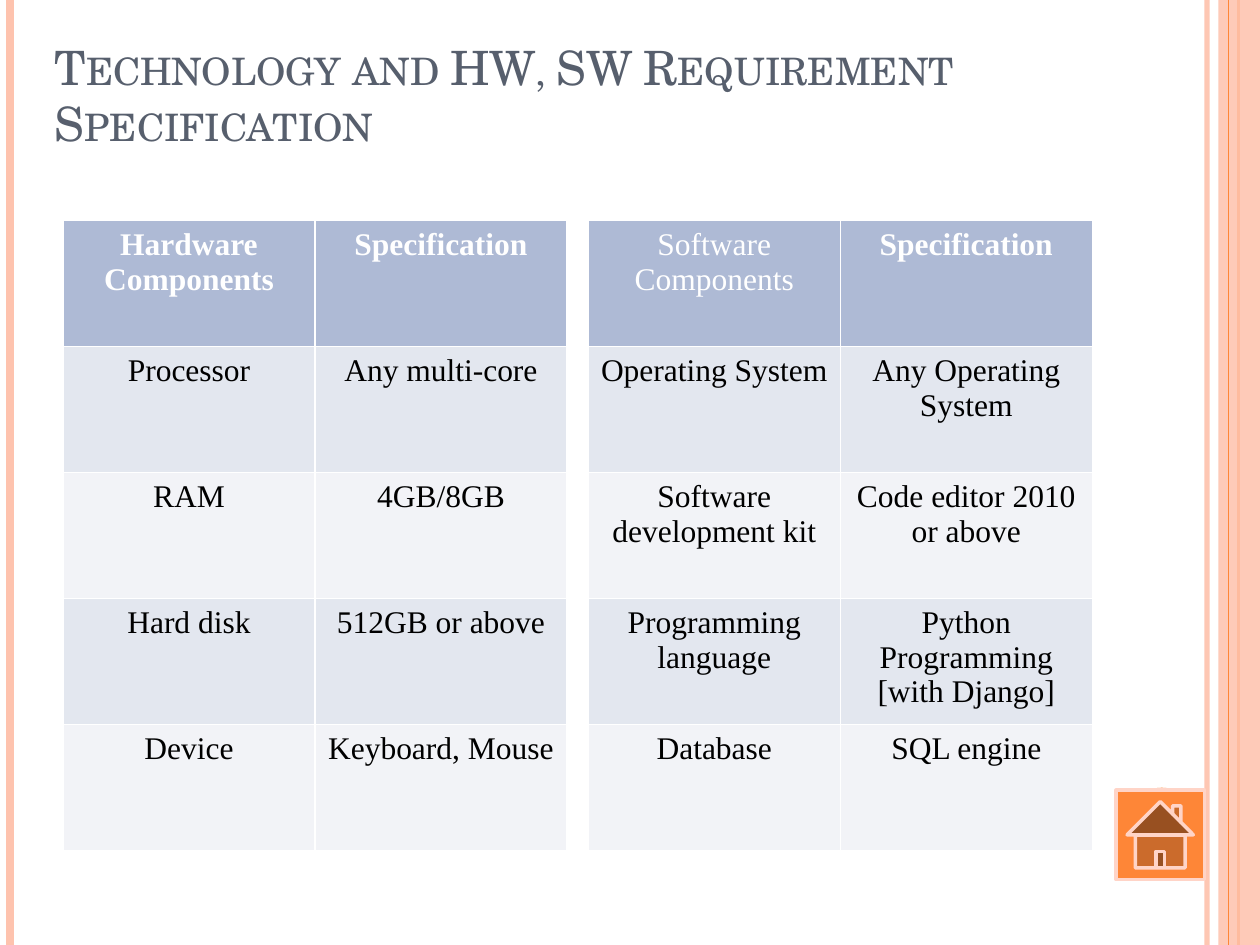
from dataclasses import dataclass

from lxml import etree
from pptx import Presentation
from pptx import util as u
from pptx.dml.color import RGBColor
from pptx.enum import shapes, text
from pptx.oxml.ns import qn


@dataclass(frozen=True)
class Theme:
    title_font: str = "TeX Gyre Schola"
    table_font: str = "Times New Roman"
    title_size: float = 27
    table_size: float = 18
    title: str = "575F6D"
    body: str = "000000"
    white: str = "FFFFFF"
    orange: str = "FE8637"
    peach: str = "FEC3AE"
    button_edge: str = "FFD4C7"
    header: str = "AEBAD5"
    bands: tuple = ("E3E7EF", "F2F3F7")


THEME = Theme()
TITLE = "Technology and HW, SW Requirement Specification"
TABLES = [
    {
        "left": 1.27,
        "bold_headings": (True, True),
        "rows": [
            ("Hardware Components", "Specification"),
            ("Processor", "Any multi-core"),
            ("RAM", "4GB/8GB"),
            ("Hard disk", "512GB or above"),
            ("Device", "Keyboard, Mouse"),
        ],
    },
    {
        "left": 11.86,
        "bold_headings": (False, True),
        "rows": [
            ("Software Components", "Specification"),
            ("Operating System", "Any Operating System"),
            ("Software development kit", "Code editor 2010 or above"),
            ("Programming language", "Python Programming [with Django]"),
            ("Database", "SQL engine"),
        ],
    },
]
TABLE_TOP = 4.45
COLUMN_WIDTH, ROW_HEIGHT = 5.08, 2.54
PAGE_WIDTH, PAGE_HEIGHT = 25.4, 19.05
RULES_BEHIND = [(24.33, THEME.peach, 3, 93), (0.2, THEME.peach, 4.5, 100),
                (24.97, THEME.orange, 1.5, 100)]
RULES_FRONT = [(24.77, THEME.orange, 0.75, 100)]


def color(value):
    return RGBColor.from_string(value)


def set_alpha(element, percent):
    if percent < 100:
        tint = next(element.iter(qn("a:srgbClr")))
        etree.SubElement(tint, qn("a:alpha")).set("val", str(percent * 1000))


def add_rule(page, x, tint, width, opacity):
    rule = page.shapes.add_connector(
        shapes.MSO_CONNECTOR.STRAIGHT, u.Cm(x), u.Cm(0), u.Cm(x), u.Cm(PAGE_HEIGHT))
    rule.line.color.rgb = color(tint)
    rule.line.width = u.Pt(width)
    properties = rule._element.spPr
    set_alpha(properties, opacity)
    etree.SubElement(properties, qn("a:effectLst"))


def add_block(page, kind, bounds, tint, edge=None, opacity=100):
    block = page.shapes.add_shape(kind, *map(u.Cm, bounds))
    block.shadow.inherit = False
    block.fill.solid()
    block.fill.fore_color.rgb = color(tint)
    set_alpha(block._element.spPr, opacity)
    if edge:
        block.line.color.rgb = color(edge)
        block.line.width = u.Pt(2)
    else:
        block.line.fill.background()


def format_span(span, font, size, tint, bold=False):
    span.font.name = font
    span.font.size = u.Pt(size)
    span.font.color.rgb = color(tint)
    span.font.bold = bold


def set_borders(cell):
    properties = cell._tc.get_or_add_tcPr()
    for side in "LRTB":
        line = etree.SubElement(properties, qn(f"a:ln{side}"), w=str(u.Pt(1)))
        fill = etree.SubElement(line, qn("a:solidFill"))
        etree.SubElement(fill, qn("a:srgbClr"), val=THEME.white)


def format_cell(cell, words, is_header, bold, tint):
    set_borders(cell)
    cell.fill.solid()
    cell.fill.fore_color.rgb = color(tint)
    cell.text_frame.text = words
    para = cell.text_frame.paragraphs[0]
    para.alignment = text.PP_ALIGN.CENTER
    format_span(para.runs[0], THEME.table_font, THEME.table_size,
                THEME.white if is_header else THEME.body, bold)


def add_requirements(page, content):
    rows = content["rows"]
    columns = len(rows[0])
    frame = page.shapes.add_table(
        len(rows), columns, u.Cm(content["left"]), u.Cm(TABLE_TOP),
        u.Cm(columns * COLUMN_WIDTH), u.Cm(len(rows) * ROW_HEIGHT))
    for row_index, row in enumerate(rows):
        is_header = row_index == 0
        tint = THEME.header if is_header else THEME.bands[(row_index - 1) % 2]
        for column_index, words in enumerate(row):
            bold = is_header and content["bold_headings"][column_index]
            format_cell(frame.table.cell(row_index, column_index),
                        words, is_header, bold, tint)


def set_title(page):
    box = page.shapes.title
    box.left, box.top, box.width, box.height = map(u.Cm, (0.85, 1.06, 23.7, 2.12))
    frame = box.text_frame
    frame.text = TITLE
    frame.word_wrap = True
    frame.auto_size = text.MSO_AUTO_SIZE.NONE
    frame.vertical_anchor = text.MSO_ANCHOR.BOTTOM
    para = frame.paragraphs[0]
    para.alignment = text.PP_ALIGN.LEFT
    span = para.runs[0]
    format_span(span, THEME.title_font, THEME.title_size, THEME.title)
    span.font._element.set("cap", "small")


deck = Presentation()
deck.slide_width, deck.slide_height = u.Cm(PAGE_WIDTH), u.Cm(PAGE_HEIGHT)
page = deck.slides.add_slide(deck.slide_layouts[5])
page.background.fill.solid()
page.background.fill.fore_color.rgb = color(THEME.white)

set_title(page)
for rule in RULES_BEHIND:
    add_rule(page, *rule)
add_block(page, shapes.MSO_SHAPE.RECTANGLE, (24.56, 0, 0.84, PAGE_HEIGHT),
          THEME.peach, opacity=87)
for rule in RULES_FRONT:
    add_rule(page, *rule)
add_block(page, shapes.MSO_SHAPE.OVAL, (22.66, 15.88, 1.52, 1.52), THEME.orange)
add_block(page, shapes.MSO_SHAPE.ACTION_BUTTON_HOME, (22.5, 15.93, 1.78, 1.8),
          THEME.orange, edge=THEME.button_edge)
for content in TABLES:
    add_requirements(page, content)

deck.save("out.pptx")
